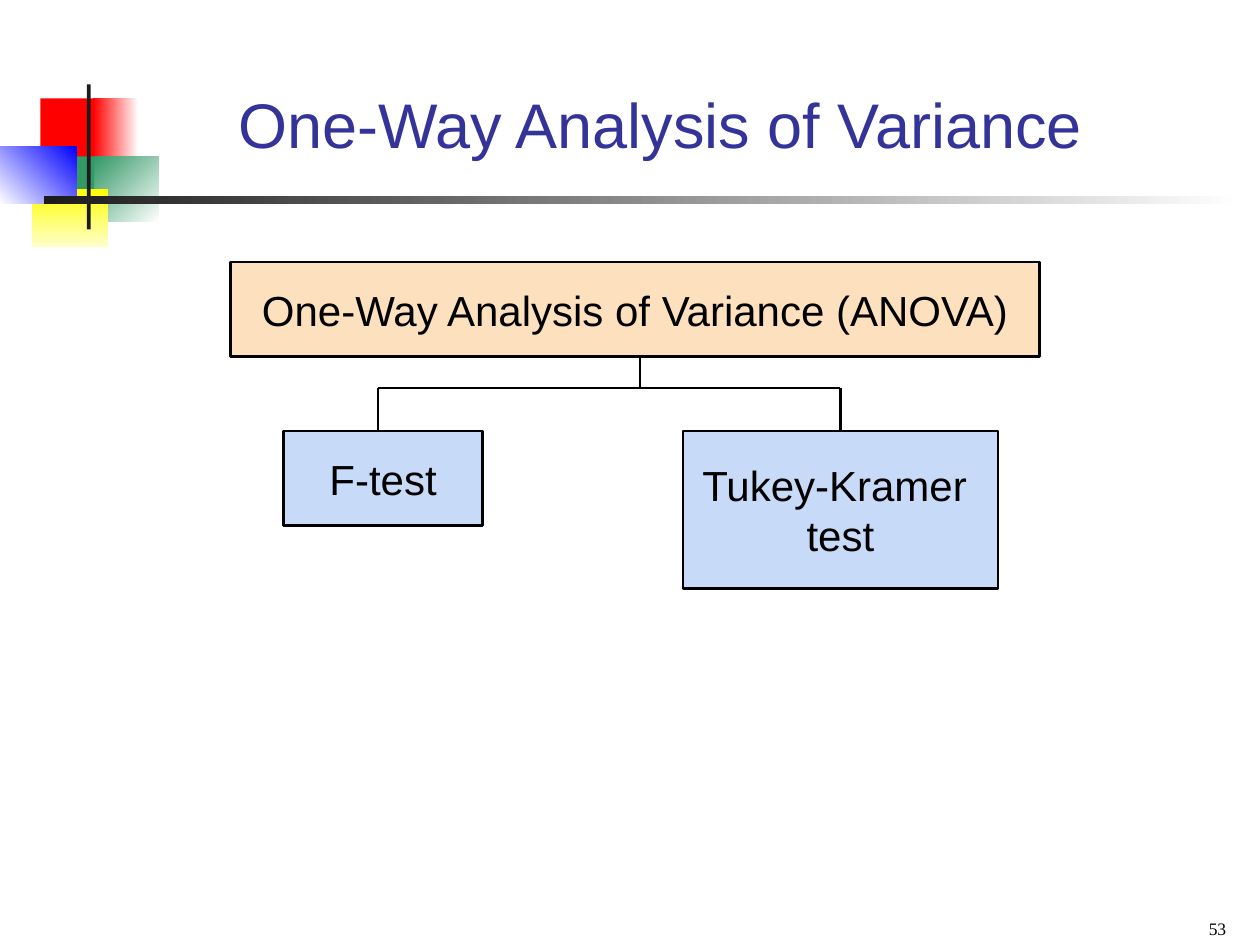
"""Build the one-way analysis of variance slide with python-pptx."""
from pptx import Presentation
from pptx import util as u
from pptx.dml.color import RGBColor
from pptx.enum import shapes, text
from pptx.oxml import xmlchemy

BLACK = RGBColor(0x00, 0x00, 0x00)
WHITE = RGBColor(0xFF, 0xFF, 0xFF)
CHARCOAL = RGBColor(0x1C, 0x1C, 0x1C)
RED = RGBColor(0xFF, 0x00, 0x00)
GREEN = RGBColor(0x33, 0x99, 0x66)
YELLOW = RGBColor(0xFF, 0xFF, 0x00)
CREAM = RGBColor(0xFF, 0xFF, 0xCC)
BLUE = RGBColor(0x00, 0x00, 0xFF)
INDIGO = RGBColor(0x33, 0x33, 0x99)
PEACH = RGBColor(0xFD, 0xE0, 0xBD)
PALE_BLUE = RGBColor(0xC7, 0xDA, 0xF7)

ANCHOR, ALIGN = text.MSO_ANCHOR, text.PP_ALIGN


class SlideBuilder:
    LINE_WIDTH = u.Pt(1.5)
    BODY = {"name": "Arial", "size": u.Pt(24)}
    TITLE = {"name": "Arial", "size": u.Pt(36)}
    NUMBER = {"name": "Times New Roman", "size": u.Pt(10)}

    def __init__(self, slide):
        self.slide = slide

    def rectangle(self, bounds):
        shape = self.slide.shapes.add_shape(
            shapes.MSO_SHAPE.RECTANGLE, *map(u.Inches, bounds))
        shape.shadow.inherit = False
        return shape

    def decoration(self, bounds, colors, angle=0):
        shape = self.rectangle(bounds)
        shape.line.fill.background()
        if len(colors) == 1:
            shape.fill.solid()
            shape.fill.fore_color.rgb = colors[0]
            return
        shape.fill.gradient()
        shape.fill.gradient_angle = angle
        for stop, color in zip(shape.fill.gradient_stops, colors):
            stop.color.rgb = color

    def set_text(self, shape, lines, font, color, align, frame_format):
        frame = shape.text_frame
        for name, value in frame_format.items():
            setattr(frame, name, value)
        frame.text = "\n".join(lines)
        for paragraph in frame.paragraphs:
            paragraph.alignment = align
            for name, value in font.items():
                setattr(paragraph.font, name, value)
            paragraph.font.color.rgb = color

    def label(self, bounds, line, font, color, align):
        shape = self.slide.shapes.add_textbox(*map(u.Inches, bounds))
        self.set_text(shape, [line], font, color, align,
                      {"word_wrap": True, "vertical_anchor": ANCHOR.BOTTOM})

    def box(self, bounds, lines, fill):
        shape = self.rectangle(bounds)
        shape.fill.solid()
        shape.fill.fore_color.rgb = fill
        shape.line.color.rgb = BLACK
        shape.line.width = self.LINE_WIDTH
        self.set_text(shape, lines, self.BODY, BLACK, ALIGN.CENTER,
                      {"word_wrap": False, "vertical_anchor": ANCHOR.MIDDLE})
        return shape

    def line(self, start, end):
        connector = self.slide.shapes.add_connector(
            shapes.MSO_CONNECTOR.STRAIGHT, *map(u.Inches, start + end))
        connector.line.color.rgb = BLACK
        connector.line.width = self.LINE_WIDTH
        connector._element.spPr.append(xmlchemy.OxmlElement("a:effectLst"))
        return connector


def main():
    presentation = Presentation()
    presentation.slide_width, presentation.slide_height = u.Inches(10), u.Inches(7.5)
    builder = SlideBuilder(presentation.slides.add_slide(presentation.slide_layouts[6]))

    for decoration in (
        ((0.32, 0.78, 0.48, 0.52), [RED]),
        ((0.74, 0.78, 0.36, 0.52), [WHITE, RED], 180),
        ((0.75, 1.24, 0.51, 0.52), [WHITE, GREEN], 135),
        ((0.43, 1.24, 0.32, 0.52), [GREEN]),
        ((0.25, 1.5, 0.61, 0.46), [YELLOW, CREAM], 270),
        ((0, 1.16, 0.61, 0.46), [BLUE, WHITE], 225),
        ((0.69, 0.67, 0.03, 1.15), [CHARCOAL]),
        ((0.35, 1.56, 9.51, 0.06), [WHITE, CHARCOAL], 180),
    ):
        builder.decoration(*decoration)

    builder.label((1.4, 0.33, 7.68, 1), "One-Way Analysis of Variance",
                  builder.TITLE, INDIGO, ALIGN.CENTER)

    builder.box((1.83, 2.08, 6.42, 0.75), ["One-Way Analysis of Variance (ANOVA)"], PEACH)
    builder.box((2.25, 3.42, 1.58, 0.75), ["F-test"], PALE_BLUE)
    tukey = builder.box((5.42, 3.42, 2.5, 1.25), ["Tukey-Kramer ", "test"], PALE_BLUE)

    left, trunk, right = 3, 5.08, 6.67
    parent_bottom, branch, child_top = 2.83, 3.08, 3.42
    builder.line((left, branch), (right, branch))
    builder.line((trunk, branch), (trunk, parent_bottom))
    builder.line((left, child_top), (left, branch))
    builder.line((right, child_top), (right, branch)).begin_connect(tukey, 0)

    builder.label((7.5, 7.15, 2.33, 0.35), "53", builder.NUMBER, BLACK, ALIGN.RIGHT)
    presentation.save("out.pptx")


if __name__ == "__main__":
    main()
